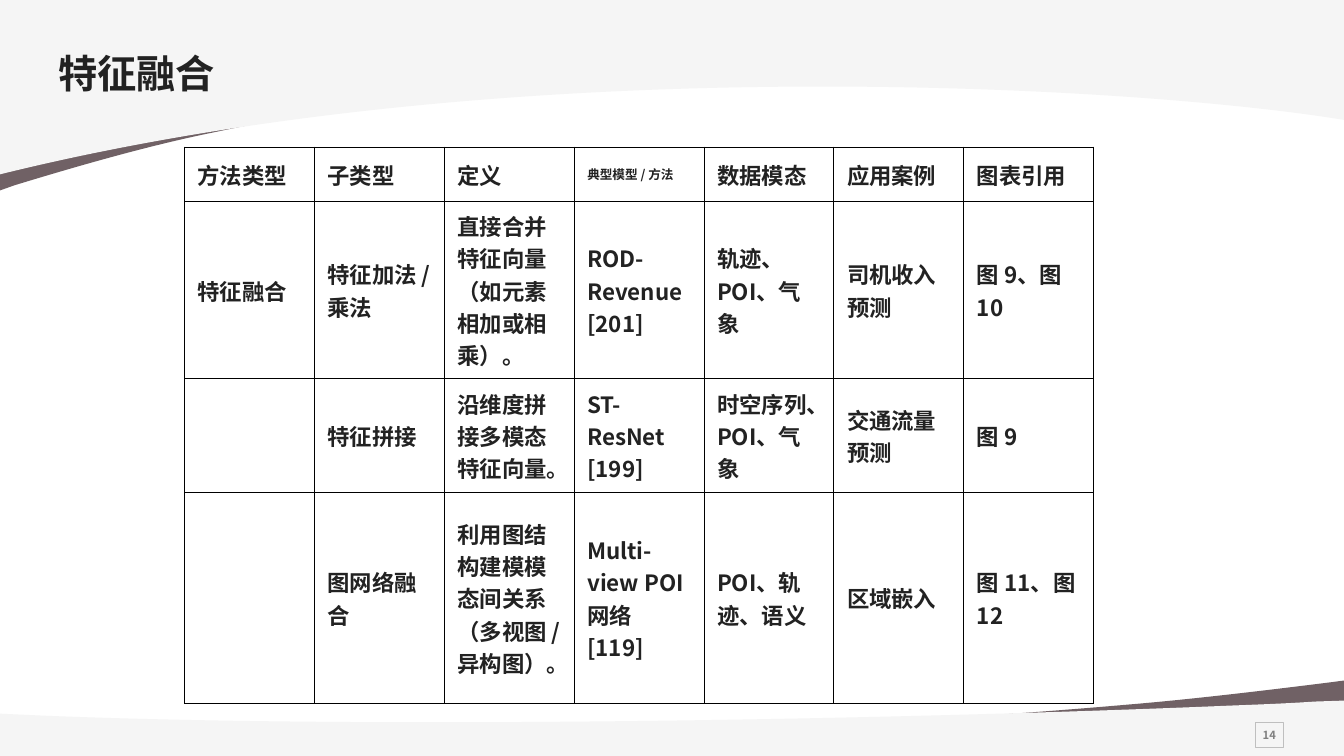
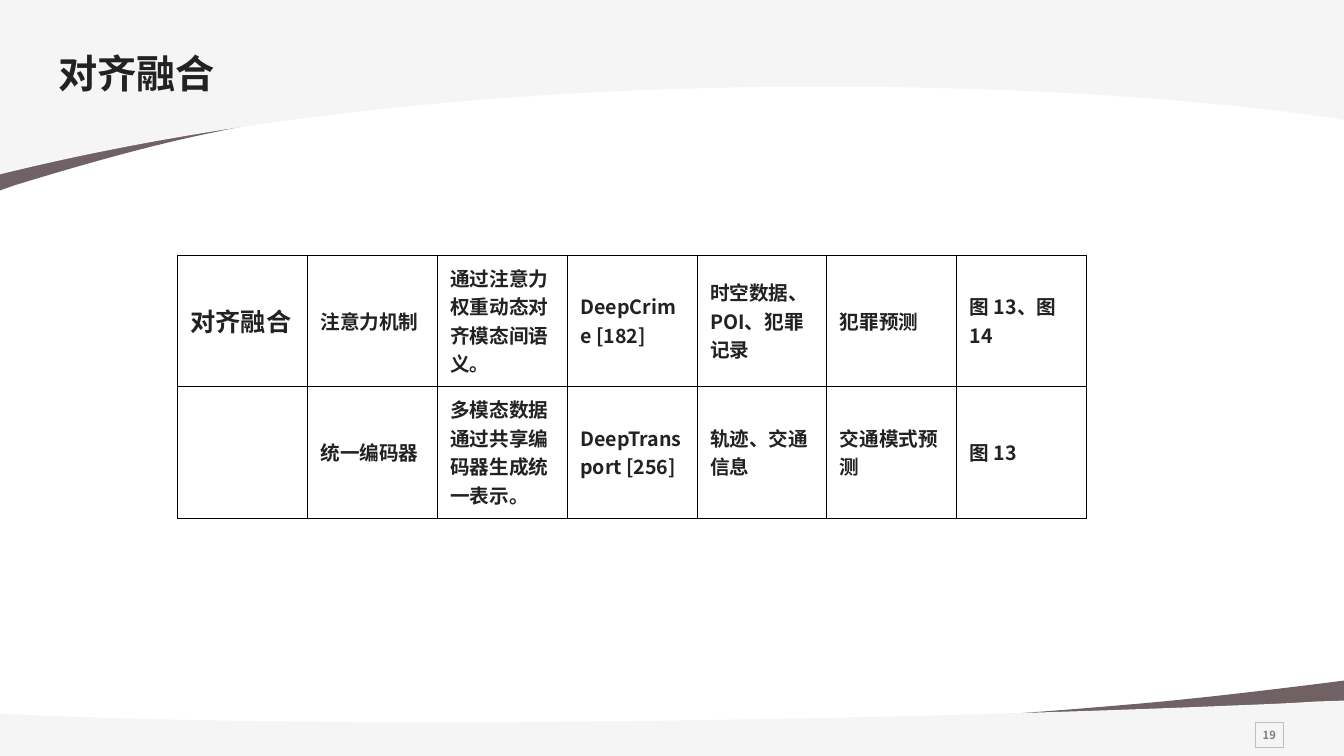
from dataclasses import dataclass

import pptx
import pptx.dml.color
import pptx.enum.lang
import pptx.enum.shapes
import pptx.enum.text
import pptx.oxml
import pptx.oxml.ns
import pptx.util

EMU_PER_PX = 9144  # 100 px to the inch
SLIDE_WIDTH, SLIDE_HEIGHT = 1333, 750
FONT = "Noto Sans CJK SC"
COLORS = {
    "ink": "222222",
    "band": "F5F5F5",
    "ribbon": "341F24",
    "number": "808080",
    "frame": "BFBFBF",
    "grid": "000000",
}
TABLE_WIDTH = 902
CELL_MARGINS = (13, 8, 13, 8)


@dataclass(frozen=True)
class Swoosh:
    """Outline of points (x, y) and cubic curves (x1, y1, x2, y2, x, y)."""
    color: str
    outline: tuple[tuple[int, ...], ...]
    opacity: int = 100


@dataclass(frozen=True)
class TableSlide:
    title: str
    number: int
    left: int
    top: int
    row_heights: tuple[int, ...]
    rows: tuple[tuple[str, ...], ...]
    text_size: int
    special_sizes: dict[tuple[int, int], int]


SWOOSHES = (
    Swoosh("ribbon", ((0, 189), (0, 22), (1334, 22), (1334, 91), (1333, 91),
                      (1032, 6, 514, 67, 214, 131),
                      (154, 143, 86, 162, 14, 184)), 70),
    Swoosh("band", ((0, 0), (1333, 0), (1333, 119),
                    (1140, 87, 517, 45, 0, 173))),
    Swoosh("ribbon", ((1334, 675), (1334, 744), (0, 744), (0, 715), (1, 716),
                      (301, 750, 820, 725, 1119, 699),
                      (1179, 694, 1247, 686, 1319, 677)), 70),
    Swoosh("band", ((1334, 695), (1334, 750), (0, 750), (0, 708), (44, 710),
                    (392, 724, 910, 713, 1220, 700),
                    (1246, 699, 1275, 698, 1304, 696))),
)

SLIDES = (
    TableSlide(
        "特征融合", 14, 183, 146, (54, 176, 113, 209),
        (
            ("方法类型", "子类型", "定义", "典型模型 / 方法",
             "数据模态", "应用案例", "图表引用"),
            ("特征融合", "特征加法 / 乘法", "直接合并特征向量（如元素相加或相乘）。",
             "ROD-Revenue [201]", "轨迹、POI、气象", "司机收入预测", "图 9、图 10"),
            ("", "特征拼接", "沿维度拼接多模态特征向量。",
             "ST-ResNet [199]", "时空序列、POI、气象", "交通流量预测", "图 9"),
            ("", "图网络融合", "利用图结构建模模态间关系（多视图 / 异构图）。",
             "Multi-view POI 网络 [119]", "POI、轨迹、语义", "区域嵌入", "图 11、图 12"),
        ),
        16, {(0, 3): 9},
    ),
    TableSlide(
        "对齐融合", 19, 176, 253, (130, 131),
        (
            ("对齐融合", "注意力机制", "通过注意力权重动态对齐模态间语义。",
             "DeepCrime [182]", "时空数据、POI、犯罪记录", "犯罪预测", "图 13、图 14"),
            ("", "统一编码器", "多模态数据通过共享编码器生成统一表示。",
             "DeepTransport [256]", "轨迹、交通信息", "交通模式预测", "图 13"),
        ),
        14, {(0, 0): 18},
    ),
)


def px(length: float) -> pptx.util.Emu:
    return pptx.util.Emu(round(length * EMU_PER_PX))


def rgb(name: str) -> pptx.dml.color.RGBColor:
    return pptx.dml.color.RGBColor.from_string(COLORS[name])


def add_run(paragraph, text: str, size: int, color: str) -> None:
    run = paragraph.add_run()
    run.text = text
    font = run.font
    font.size = pptx.util.Pt(size)
    font.bold = True
    font.name = FONT
    font.color.rgb = rgb(color)
    font.language_id = pptx.enum.lang.MSO_LANGUAGE_ID.SIMPLIFIED_CHINESE
    east_asian = pptx.oxml.parse_xml(
        f'<a:ea {pptx.oxml.ns.nsdecls("a")} typeface="{FONT}"/>')
    run._r.get_or_add_rPr().append(east_asian)


def bend_curves(shape, outline: tuple[tuple[int, ...], ...]) -> None:
    """Join the three segments of each curve into one cubic curve."""
    segments = iter(shape._element.findall(".//" + pptx.oxml.ns.qn("a:lnTo")))
    for part in outline[1:]:
        segment = next(segments)
        if len(part) == 2:
            continue
        curve = pptx.oxml.parse_xml(
            f'<a:cubicBezTo {pptx.oxml.ns.nsdecls("a")}/>')
        segment.addprevious(curve)
        for control in (segment, next(segments), next(segments)):
            curve.append(control[0])
            control.getparent().remove(control)


def draw_swoosh(slide, swoosh: Swoosh) -> None:
    points = [(px(part[i]), px(part[i + 1]))
              for part in swoosh.outline for i in range(0, len(part), 2)]
    builder = slide.shapes.build_freeform(*points[0])
    builder.add_line_segments(points[1:], close=True)
    shape = builder.convert_to_shape()
    bend_curves(shape, swoosh.outline)
    shape.shadow.inherit = False
    shape.line.fill.background()
    shape.fill.solid()
    shape.fill.fore_color.rgb = rgb(swoosh.color)
    if swoosh.opacity < 100:
        color = shape._element.spPr.find(".//" + pptx.oxml.ns.qn("a:srgbClr"))
        color.append(pptx.oxml.parse_xml(
            f'<a:alpha {pptx.oxml.ns.nsdecls("a")} val="{swoosh.opacity * 1000}"/>'))


def draw_page_number(slide, number: int) -> None:
    shape = slide.shapes.add_shape(
        pptx.enum.shapes.MSO_SHAPE.RECTANGLE, px(1245), px(717), px(28), px(25))
    shape.shadow.inherit = False
    shape.fill.background()
    shape.line.color.rgb = rgb("frame")
    shape.line.width = pptx.util.Pt(0.75)
    frame = shape.text_frame
    frame.word_wrap = False
    frame.vertical_anchor = pptx.enum.text.MSO_ANCHOR.MIDDLE
    frame.margin_left = frame.margin_right = px(8)
    frame.margin_top = frame.margin_bottom = px(8)
    paragraph = frame.paragraphs[0]
    paragraph.alignment = pptx.enum.text.PP_ALIGN.CENTER
    add_run(paragraph, str(number), 8, "number")


def draw_title(slide, title: str) -> None:
    frame = slide.shapes.add_textbox(px(48), px(49), px(1181), px(79)).text_frame
    frame.word_wrap = True
    paragraph = frame.paragraphs[0]
    paragraph.line_spacing = 0.9
    add_run(paragraph, title, 28, "ink")


def style_cell(cell) -> None:
    cell.fill.background()
    cell.vertical_anchor = pptx.enum.text.MSO_ANCHOR.MIDDLE
    (cell.margin_left, cell.margin_top,
     cell.margin_right, cell.margin_bottom) = map(px, CELL_MARGINS)
    properties = cell._tc.get_or_add_tcPr()
    for position, side in enumerate("LRTB"):
        properties.insert(position, pptx.oxml.parse_xml(
            f'<a:ln{side} {pptx.oxml.ns.nsdecls("a")} w="{pptx.util.Pt(0.75)}">'
            f'<a:solidFill><a:srgbClr val="{COLORS["grid"]}"/></a:solidFill>'
            f'</a:ln{side}>'))


def draw_table(slide, content: TableSlide) -> None:
    column_count = len(content.rows[0])
    table = slide.shapes.add_table(
        len(content.rows), column_count, px(content.left), px(content.top),
        px(TABLE_WIDTH), px(sum(content.row_heights))).table
    table.first_row = False
    table.horz_banding = False
    for column in table.columns:
        column.width = px(TABLE_WIDTH / column_count)
    for row_index, texts in enumerate(content.rows):
        table.rows[row_index].height = px(content.row_heights[row_index])
        for column_index, text in enumerate(texts):
            cell = table.cell(row_index, column_index)
            style_cell(cell)
            if text:
                size = content.special_sizes.get(
                    (row_index, column_index), content.text_size)
                add_run(cell.text_frame.paragraphs[0], text, size, "ink")


def main() -> None:
    presentation = pptx.Presentation()
    presentation.slide_width = px(SLIDE_WIDTH)
    presentation.slide_height = px(SLIDE_HEIGHT)
    for content in SLIDES:
        slide = presentation.slides.add_slide(presentation.slide_layouts[6])
        # Shared background and page number
        for swoosh in SWOOSHES:
            draw_swoosh(slide, swoosh)
        draw_page_number(slide, content.number)
        # Title and table
        draw_title(slide, content.title)
        draw_table(slide, content)
    presentation.save("out.pptx")


if __name__ == "__main__":
    main()
